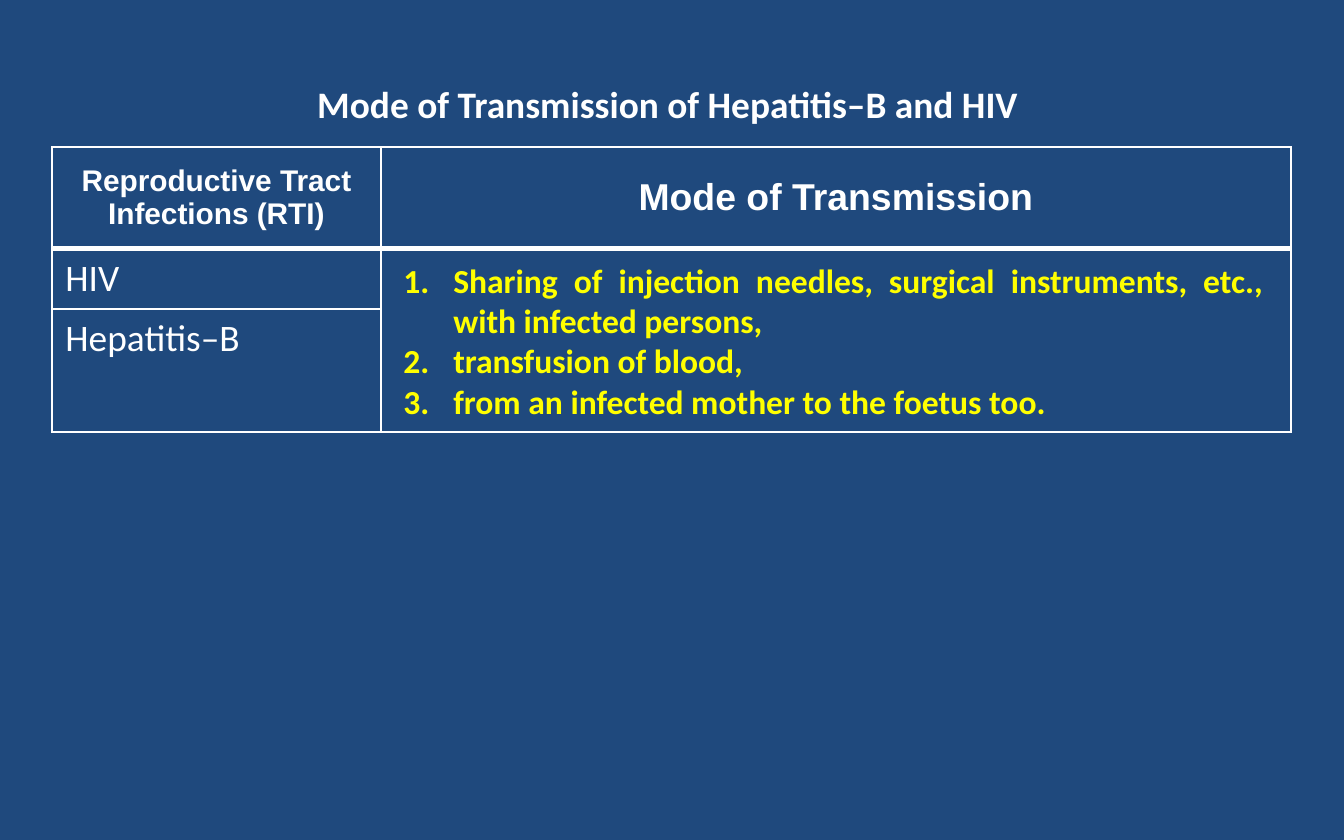
from dataclasses import dataclass

import pptx
import pptx.dml.color
import pptx.enum.text
import pptx.oxml
import pptx.oxml.ns
import pptx.util

EMU_PER_PX = 914400 / 134.4
WHITE, YELLOW, NAVY = "FFFFFF", "FFFF00", "1F497D"
ALIGN = pptx.enum.text.PP_ALIGN
ANCHOR = pptx.enum.text.MSO_ANCHOR


@dataclass
class TextStyle:
    size: int
    font: str = "Calibri"
    color: str = WHITE
    bold: bool = True
    align: ALIGN = ALIGN.LEFT


@dataclass
class CellSpec:
    row: int
    column: int
    text: str
    style: TextStyle
    anchor: ANCHOR = ANCHOR.TOP


def px(length: int) -> pptx.util.Emu:
    return pptx.util.Emu(round(length * EMU_PER_PX))


def rgb(color: str) -> pptx.dml.color.RGBColor:
    return pptx.dml.color.RGBColor.from_string(color)


def style_paragraph(paragraph, style: TextStyle) -> None:
    paragraph.alignment = style.align
    font = paragraph.font
    font.size = pptx.util.Pt(style.size)
    font.name = style.font
    font.bold = style.bold
    font.color.rgb = rgb(style.color)


def number_paragraph(paragraph, color: str, indent: int) -> None:
    properties = paragraph._p.get_or_add_pPr()
    properties.set("marL", str(px(indent)))
    properties.set("indent", str(-px(indent)))
    namespace = pptx.oxml.ns.nsdecls("a")
    for xml in (
        f'<a:buClr {namespace}><a:srgbClr val="{color}"/></a:buClr>',
        f'<a:buFont {namespace} typeface="+mj-lt"/>',
        f'<a:buAutoNum {namespace} type="arabicPeriod"/>',
    ):
        properties.append(pptx.oxml.parse_xml(xml))


def add_text(slide, box: tuple[int, int, int, int], lines: list[str],
             style: TextStyle, anchor: ANCHOR, number_indent: int = 0) -> None:
    frame = slide.shapes.add_textbox(*map(px, box)).text_frame
    frame.word_wrap = True
    frame.vertical_anchor = anchor
    for index, line in enumerate(lines):
        paragraph = frame.add_paragraph() if index else frame.paragraphs[0]
        paragraph.text = line
        if number_indent:
            number_paragraph(paragraph, style.color, number_indent)
        style_paragraph(paragraph, style)


def set_borders(cell, widths: dict[str, int]) -> None:
    """Draw white borders; widths are in points, keyed by side L, R, T, B."""
    properties = cell._tc.get_or_add_tcPr()
    for side, width in widths.items():
        properties.append(pptx.oxml.parse_xml(
            f'<a:ln{side} {pptx.oxml.ns.nsdecls("a")} w="{pptx.util.Pt(width)}">'
            f'<a:solidFill><a:srgbClr val="{WHITE}"/></a:solidFill></a:ln{side}>'))


def add_table(slide, left: int, top: int, columns: list[int],
              rows: list[int], cells: list[CellSpec]) -> None:
    table = slide.shapes.add_table(
        len(rows), len(columns), px(left), px(top),
        px(sum(columns)), px(sum(rows))).table
    table.horz_banding = False
    for column, width in zip(table.columns, columns):
        column.width = px(width)
    for index, height in enumerate(rows):
        table.rows[index].height = px(height)
        for cell in table.rows[index].cells:
            set_borders(cell, {"L": 1, "R": 1, "T": 3 if index == 1 else 1,
                               "B": 3 if index == 0 else 1})
            cell.fill.background()
    table.cell(1, 1).merge(table.cell(2, 1))
    for spec in cells:
        cell = table.cell(spec.row, spec.column)
        cell.text = spec.text
        cell.vertical_anchor = spec.anchor
        style_paragraph(cell.text_frame.paragraphs[0], spec.style)


def main() -> None:
    presentation = pptx.Presentation()
    presentation.slide_width, presentation.slide_height = px(1344), px(840)
    slide = presentation.slides.add_slide(presentation.slide_layouts[6])
    slide.background.fill.solid()
    slide.background.fill.fore_color.rgb = rgb(NAVY)

    add_text(slide, (67, 34, 1210, 140),
             ["Mode of Transmission of Hepatitis–B and HIV "],
             TextStyle(20, align=ALIGN.CENTER), ANCHOR.MIDDLE)

    infection = TextStyle(20, bold=False)
    add_table(slide, 52, 147, [329, 910], [102, 60, 123], [
        CellSpec(0, 0, "Reproductive Tract Infections (RTI)",
                 TextStyle(16, "Arial", align=ALIGN.CENTER), ANCHOR.MIDDLE),
        CellSpec(0, 1, "Mode of Transmission",
                 TextStyle(20, "Arial", align=ALIGN.CENTER), ANCHOR.MIDDLE),
        CellSpec(1, 0, "HIV", infection),
        CellSpec(2, 0, "Hepatitis–B", infection),
    ])

    add_text(slide, (390, 253, 887, 176), [
        "Sharing of injection needles, surgical instruments, etc., "
        "with infected persons, ",
        "transfusion of blood,",
        "from an infected mother to the foetus too.",
    ], TextStyle(18, color=YELLOW, align=ALIGN.JUSTIFY), ANCHOR.TOP,
        number_indent=50)

    presentation.save("out.pptx")


if __name__ == "__main__":
    main()
